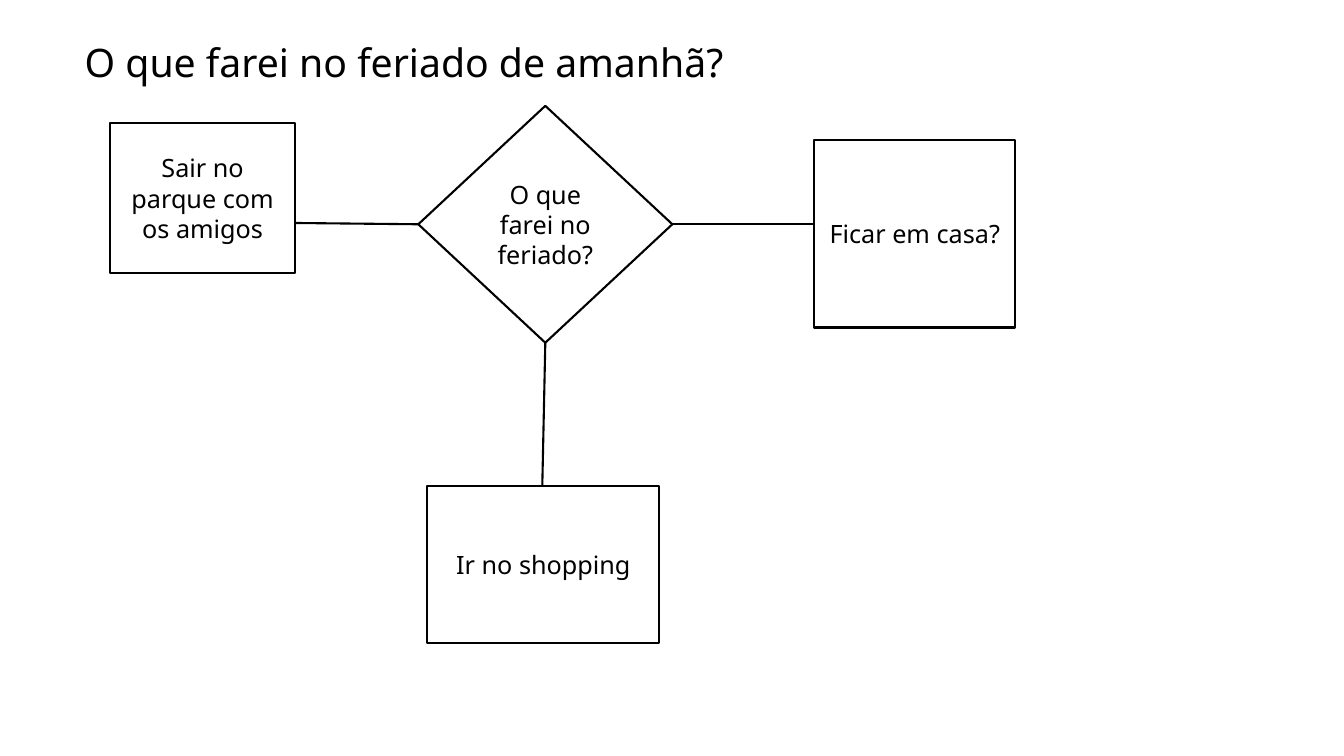
import pptx
import pptx.util
import pptx.dml.color
import pptx.enum.shapes
import pptx.enum.text
import pptx.oxml
from pptx.util import Pt

# Content: boxes are left, top, width, height in points
SLIDE_SIZE = (960, 540)
TITLE = "O que farei no feriado de amanhã?"
TITLE_BOX = (53.28, 27.36, 828, 512.64)
QUESTION = ("O que farei no feriado?", (298.8, 75.6, 181.44, 169.2))
# Each option: text, box, diamond corner its line leaves from, line end
LEFT, BOTTOM, RIGHT = 1, 2, 3
OPTIONS = [
    ("Sair no parque com os amigos", (78.48, 87.84, 132.48, 107.28), LEFT, (195.12, 159.12)),
    ("Ir no shopping", (305.28, 347.04, 165.6, 112.32), BOTTOM, (387.36, 347.04)),
    ("Ficar em casa?", (581.76, 100.08, 143.28, 133.92), RIGHT, (581.76, 160.2)),
]

THEME = {
    "font": "Noto Sans",
    "ink": pptx.dml.color.RGBColor(0, 0, 0),
    "paper": pptx.dml.color.RGBColor(255, 255, 255),
    "title_size": 28,
    "label_size": 18,
    "line_width": 1.5,
}
ALIGN = pptx.enum.text.PP_ALIGN
ANCHOR = pptx.enum.text.MSO_ANCHOR
SHAPE = pptx.enum.shapes.MSO_SHAPE


def write_text(shape, text, size, align, anchor, line_spacing=None, space_before=None):
    frame = shape.text_frame
    frame.word_wrap = True
    frame.auto_size = pptx.enum.text.MSO_AUTO_SIZE.NONE
    frame.vertical_anchor = anchor
    para = frame.paragraphs[0]
    para.alignment = align
    para.line_spacing = line_spacing
    para.space_before = space_before
    span = para.add_run()
    span.text = text
    span.font.name = THEME["font"]
    span.font.size = Pt(size)
    span.font.color.rgb = THEME["ink"]


def draw_outline(line):
    line.color.rgb = THEME["ink"]
    line.width = Pt(THEME["line_width"])


def add_step(page, kind, text, box):
    step = page.shapes.add_shape(kind, *map(Pt, box))
    step.shadow.inherit = False
    step.fill.solid()
    step.fill.fore_color.rgb = THEME["paper"]
    draw_outline(step.line)
    write_text(step, text, THEME["label_size"], ALIGN.CENTER, ANCHOR.MIDDLE)
    return step


def add_link(page, source, corner, end):
    link = page.shapes.add_connector(
        pptx.enum.shapes.MSO_CONNECTOR.STRAIGHT, 0, 0, *map(Pt, end))
    link.begin_connect(source, corner)
    draw_outline(link.line)
    properties = link._element.spPr
    properties.append(pptx.oxml.parse_xml(
        '<a:effectLst xmlns:a="http://schemas.openxmlformats.org/drawingml/2006/main"/>'))


def main():
    deck = pptx.Presentation()
    deck.slide_width, deck.slide_height = map(Pt, SLIDE_SIZE)
    page = deck.slides.add_slide(deck.slide_layouts.get_by_name("Title Only"))

    # Title
    title = page.shapes.title
    title.left, title.top, title.width, title.height = map(Pt, TITLE_BOX)
    write_text(title, TITLE, THEME["title_size"], ALIGN.LEFT, ANCHOR.TOP,
               line_spacing=0.9, space_before=Pt(10))

    # Decision and its options
    question = add_step(page, SHAPE.DIAMOND, *QUESTION)
    for text, box, corner, end in OPTIONS:
        add_link(page, question, corner, end)
        add_step(page, SHAPE.RECTANGLE, text, box)

    deck.save("out.pptx")


if __name__ == "__main__":
    main()
